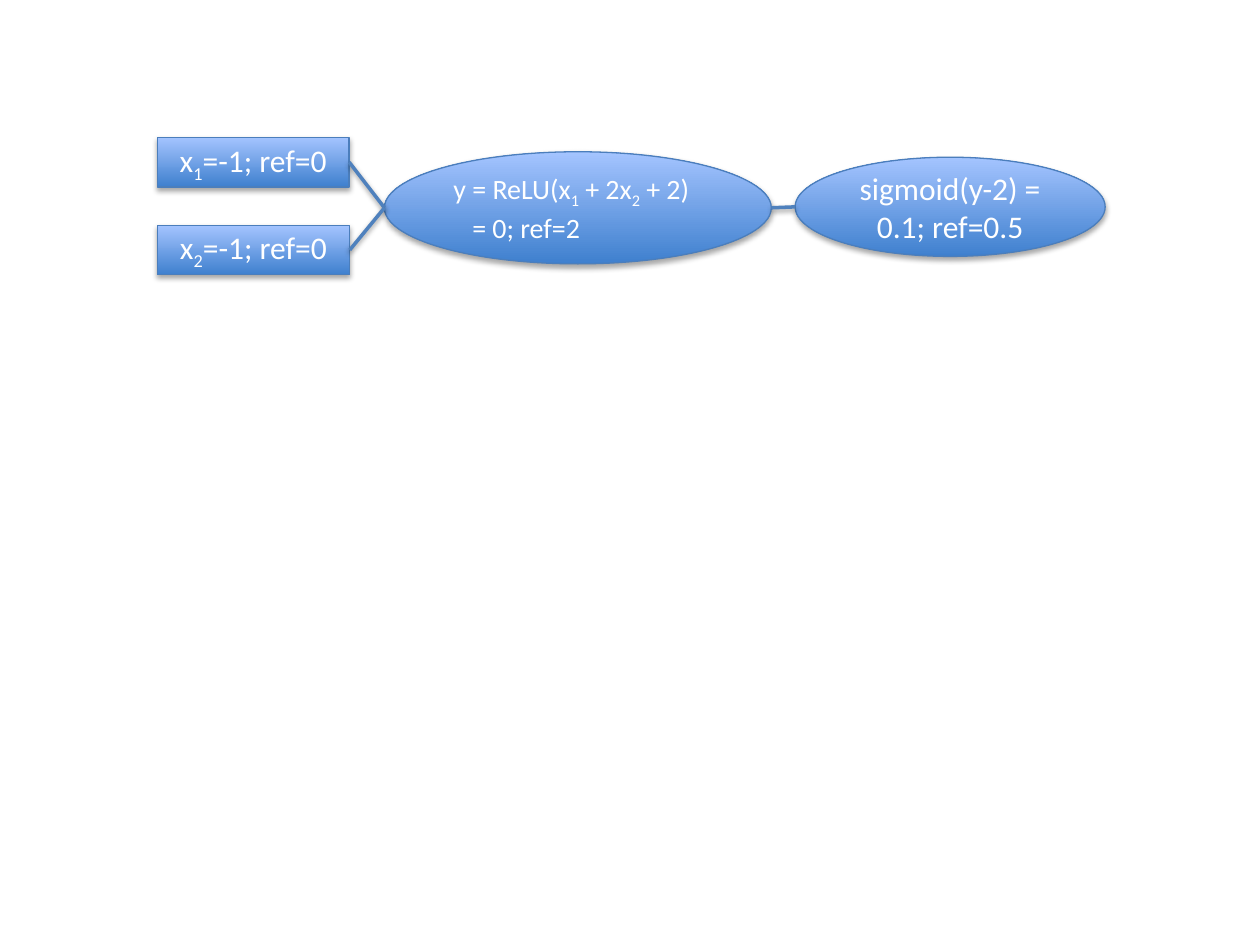
from typing import NamedTuple

from lxml import etree
from pptx import Presentation
from pptx.dml.color import RGBColor
from pptx.enum.shapes import MSO_CONNECTOR as Link, MSO_SHAPE as Kind
from pptx.enum.text import MSO_ANCHOR as Anchor, PP_ALIGN as Align
from pptx.oxml.ns import qn
from pptx.util import Cm, Pt

WHITE = RGBColor(0xFF, 0xFF, 0xFF)
DEEP = RGBColor(0x3F, 0x80, 0xCE)
PALE = RGBColor(0xA4, 0xC4, 0xFF)
EDGE = RGBColor(0x4B, 0x7E, 0xBC)
WIRE = RGBColor(0x4F, 0x81, 0xBD)


class Node(NamedTuple):
    """A unit of the network, in cm; text between underscores is subscript."""
    kind: Kind
    left: float
    top: float
    width: float
    height: float
    lines: tuple[str, ...]
    size: int = 18
    align: Align = Align.CENTER
    indent: float = 0  # of the lines after the first

    @property
    def right(self) -> float:
        return self.left + self.width

    @property
    def mid(self) -> float:
        return self.top + self.height / 2


X1 = Node(Kind.RECTANGLE, 3.17, 2.77, 3.87, 1, ("x_1_=-1; ref=0",))
X2 = Node(Kind.RECTANGLE, 3.17, 4.54, 3.88, 1, ("x_2_=-1; ref=0",))
RELU = Node(Kind.OVAL, 7.75, 3.06, 7.8, 2.26,
            ("y = ReLU(x_1_ + 2x_2_ + 2)", "= 0; ref=2"),
            16, Align.LEFT, 0.38)
OUT = Node(Kind.OVAL, 16.03, 3.17, 6.25, 2, ("sigmoid(y-2) = 0.1; ref=0.5",))
NODES = (RELU, X2, X1, OUT)
LINKS = ((X1, RELU), (X2, RELU), (RELU, OUT))


def shade(item, dist: float, alpha: int) -> None:
    """Give the item a soft shadow that falls straight down."""
    box = etree.SubElement(item._element.spPr, qn("a:effectLst"))
    cast = etree.SubElement(box, qn("a:outerShdw"), blurRad=str(Pt(3.1)),
                            dist=str(Pt(dist)), dir="5400000", rotWithShape="0")
    tint = etree.SubElement(cast, qn("a:srgbClr"), val="000000")
    etree.SubElement(tint, qn("a:alpha"), val=str(alpha * 1000))


def write(para, text: str, size: int) -> None:
    style = {"name": "Calibri", "size": Pt(size)}
    for i, part in enumerate(text.split("_")):
        run = para.add_run()
        run.text = part
        for key, val in style.items():
            setattr(run.font, key, val)
        run.font.color.rgb = WHITE
        if i % 2:
            run.font._element.set("baseline", "-25000")


def draw(shapes, node: Node) -> None:
    item = shapes.add_shape(node.kind, Cm(node.left), Cm(node.top),
                            Cm(node.width), Cm(node.height))
    item.fill.gradient()
    item.fill.gradient_angle = 90
    for stop, tone in zip(item.fill.gradient_stops, (DEEP, PALE)):
        stop.color.rgb = tone
    item.line.color.rgb = EDGE
    item.line.width = Pt(0.75)
    shade(item, 1.8, 35)
    frame = item.text_frame
    for key, val in {"word_wrap": True, "vertical_anchor": Anchor.MIDDLE}.items():
        setattr(frame, key, val)
    for i, text in enumerate(node.lines):
        para = frame.add_paragraph() if i else frame.paragraphs[0]
        para.alignment = node.align
        if i:
            para._p.get_or_add_pPr().set("marL", str(Cm(node.indent)))
        write(para, text, node.size)


def join(shapes, start: Node, end: Node) -> None:
    wire = shapes.add_connector(Link.STRAIGHT, Cm(start.right), Cm(start.mid),
                                Cm(end.left), Cm(end.mid))
    wire.line.color.rgb = WIRE
    wire.line.width = Pt(2)
    shade(wire, 1.6, 38)


def main() -> None:
    deck = Presentation()
    deck.slide_width, deck.slide_height = Cm(25.4), Cm(19.05)
    shapes = deck.slides.add_slide(deck.slide_layouts[6]).shapes
    for node in NODES:
        draw(shapes, node)
    for start, end in LINKS:
        join(shapes, start, end)
    deck.save("out.pptx")


if __name__ == "__main__":
    main()
